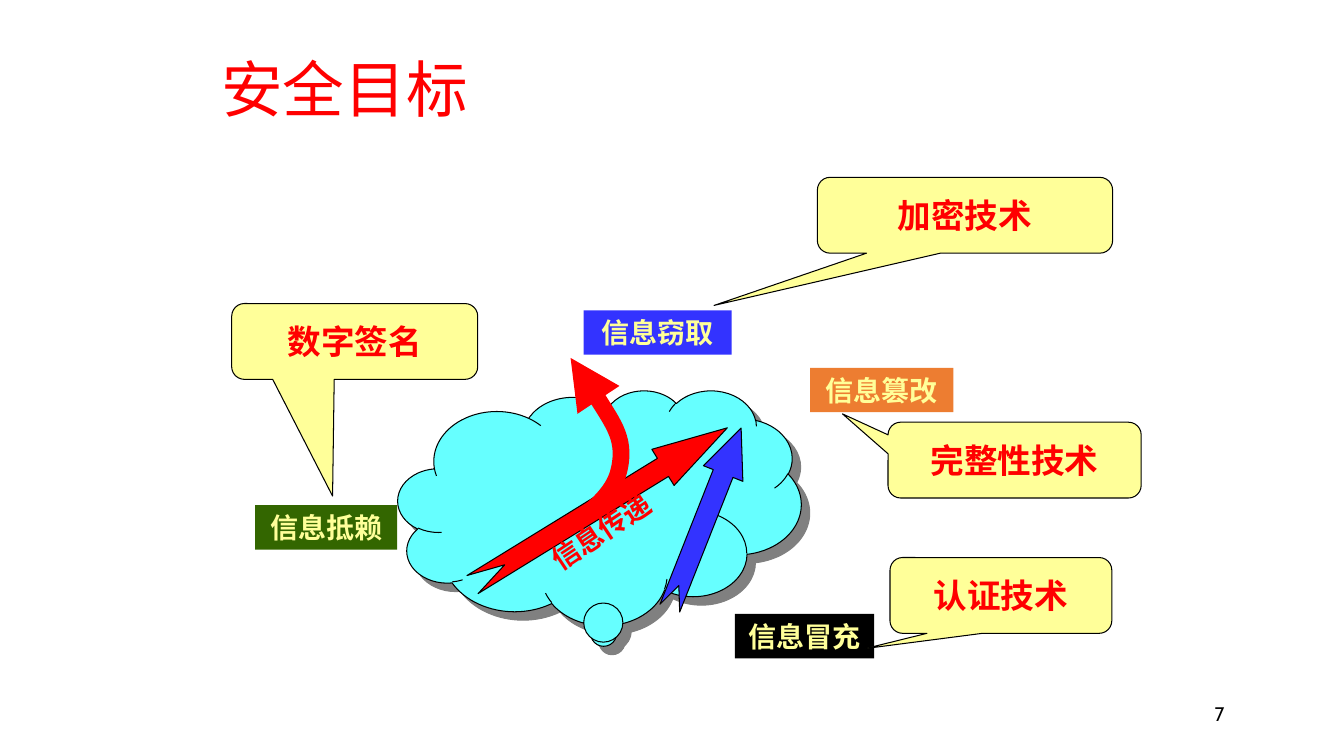
from lxml import etree
from pptx import Presentation
from pptx.dml.color import RGBColor
from pptx.enum import shapes, text
from pptx.oxml import parse_xml
from pptx.oxml.ns import qn, nsdecls
from pptx.util import Cm, Pt

HUES = {"red": "FF0000", "blue": "3333FF", "green": "336600", "orange": "ED7D31",
        "black": "000000", "cream": "FFFF99", "cyan": "66FFFF", "gray": "808080"}
SERIF, SANS, PAGE = "Times New Roman", "Noto Sans CJK SC", "Cabin"

# Content: lengths in cm
TITLE = ("安全目标", (5.33, 0.91, 23.85, 2.84))
NUMBER = ("7", (25.83, 17.35, 5.28, 1.27))
FLOW = ("信息传递", (13.44, 12.83, 3.4, 1.12), 326.3)
CLOUD = (10.03, 9.83, 10.16, 5.92)
ARROWS = [  # box, turn, head length, fill
    ((11.35, 12.22, 7.54, 1.07), 328.4, 1.78, "red"),
    ((15.34, 12.52, 4.88, 1.07), 291.6, 1.15, "blue"),
]
CURVE = [(12.73, 14.2), (14, 13.51), (15.29, 12.83), (15.57, 11.96),
         (15.82, 11.1), (15.11, 10.06), (14.38, 9.02)]
THREATS = [  # words, left, top, width, fill
    ("信息窃取", 14.71, 7.82, 3.73, "blue"),
    ("信息冒充", 18.52, 15.47, 3.51, "black"),
    ("信息篡改", 20.42, 9.27, 3.61, "orange"),
    ("信息抵赖", 6.43, 12.73, 3.58, "green"),
]
CURES = [  # words, left, top, width, pointer tip
    ("加密技术", 20.6, 4.47, 7.44, (-0.85, 1.19)),
    ("完整性技术", 22.38, 10.64, 6.38, (-0.68, -0.61)),
    ("认证技术", 22.43, 14.05, 5.59, (-0.61, 0.7)),
    ("数字签名", 5.84, 7.65, 6.2, (-0.09, 2.04)),
]
THREAT_H, CURE_H = 1.12, 1.91
KIND = shapes.MSO_SHAPE
ALIGN = text.PP_ALIGN

deck = Presentation()
deck.slide_width, deck.slide_height = Cm(33.87), Cm(19.05)
slide = deck.slides.add_slide(deck.slide_layouts[6])
items = slide.shapes


def hue(name):
    return RGBColor.from_string(HUES[name])


def write(shape, words, size, color, face=SERIF, bold=False, align=ALIGN.CENTER, wrap=True):
    frame = shape.text_frame
    frame.word_wrap = wrap
    frame.vertical_anchor = text.MSO_ANCHOR.MIDDLE
    para = frame.paragraphs[0]
    para.text, para.alignment = words, align
    font = para.font
    font.size, font.bold, font.name = Pt(size), bold, face
    font.color.rgb = hue(color)
    east = etree.SubElement(para._p.pPr.find(qn("a:defRPr")), qn("a:ea"))
    east.set("typeface", SANS)
    return para


def draw(kind, box, fill, edge=True, turn=0, adjust=()):
    shape = items.add_shape(kind, *map(Cm, box))
    shape.shadow.inherit = False
    shape.fill.solid()
    shape.fill.fore_color.rgb = hue(fill)
    if edge:
        shape.line.color.rgb = hue("black")
        shape.line.width = Pt(0.75)
    else:
        shape.line.fill.background()
    shape.rotation = turn
    for i, value in enumerate(adjust):
        shape.adjustments[i] = value
    return shape


def label(box):
    return items.add_textbox(*map(Cm, box))


def arrow(box, turn, head, fill):
    draw(KIND.NOTCHED_RIGHT_ARROW, box, fill, turn=turn, adjust=(0.5, head))


# Title and page number
write(label(NUMBER[1]), NUMBER[0], 14, "black", PAGE, align=ALIGN.RIGHT)
write(label(TITLE[1]), TITLE[0], 44, "red", SANS, align=ALIGN.LEFT).line_spacing = 0.9

# Cloud with its shadow
cloud = draw(KIND.CLOUD_CALLOUT, CLOUD, "cyan", adjust=(0.01, 0.525))
cloud._element.spPr.find(qn("a:effectLst")).append(parse_xml(
    f'<a:outerShdw {nsdecls("a")} dist="{Pt(8.5)}" dir="2700000" algn="ctr" rotWithShape="0">'
    f'<a:srgbClr val="{HUES["gray"]}"/></a:outerShdw>'))

# Message flow
arrow(*ARROWS[0])
flow = label(FLOW[1])
flow.rotation = FLOW[2]
write(flow, FLOW[0], 20, "red", bold=True)

# Curved arrow: each three points become one Bezier piece
spots = [(Cm(x), Cm(y)) for x, y in CURVE]
pen = items.build_freeform(*spots[0])
pen.add_line_segments(spots[1:], close=False)
curve = pen.convert_to_shape()
curve.shadow.inherit = False
curve.fill.background()
curve.line.color.rgb = hue("red")
curve.line.width = Pt(12)
etree.SubElement(curve.line._get_or_add_ln(), qn("a:tailEnd")).set("type", "triangle")
steps = list(curve._element.iter(qn("a:lnTo")))
for i in range(0, len(steps), 3):
    bend = etree.Element(qn("a:cubicBezTo"))
    steps[i].addprevious(bend)
    for step in steps[i:i + 3]:
        bend.append(step[0])
        step.getparent().remove(step)

arrow(*ARROWS[1])

# Threats
for words, left, top, width, fill in THREATS:
    box = draw(KIND.RECTANGLE, (left, top, width, THREAT_H), fill, edge=False)
    write(box, words, 20, "cream", bold=True)

# Countermeasures
for words, left, top, width, tip in CURES:
    box = draw(KIND.ROUNDED_RECTANGULAR_CALLOUT, (left, top, width, CURE_H), "cream",
               adjust=(*tip, 0.167))
    write(box, words, 24, "red", bold=True, wrap=False)

deck.save("out.pptx")
